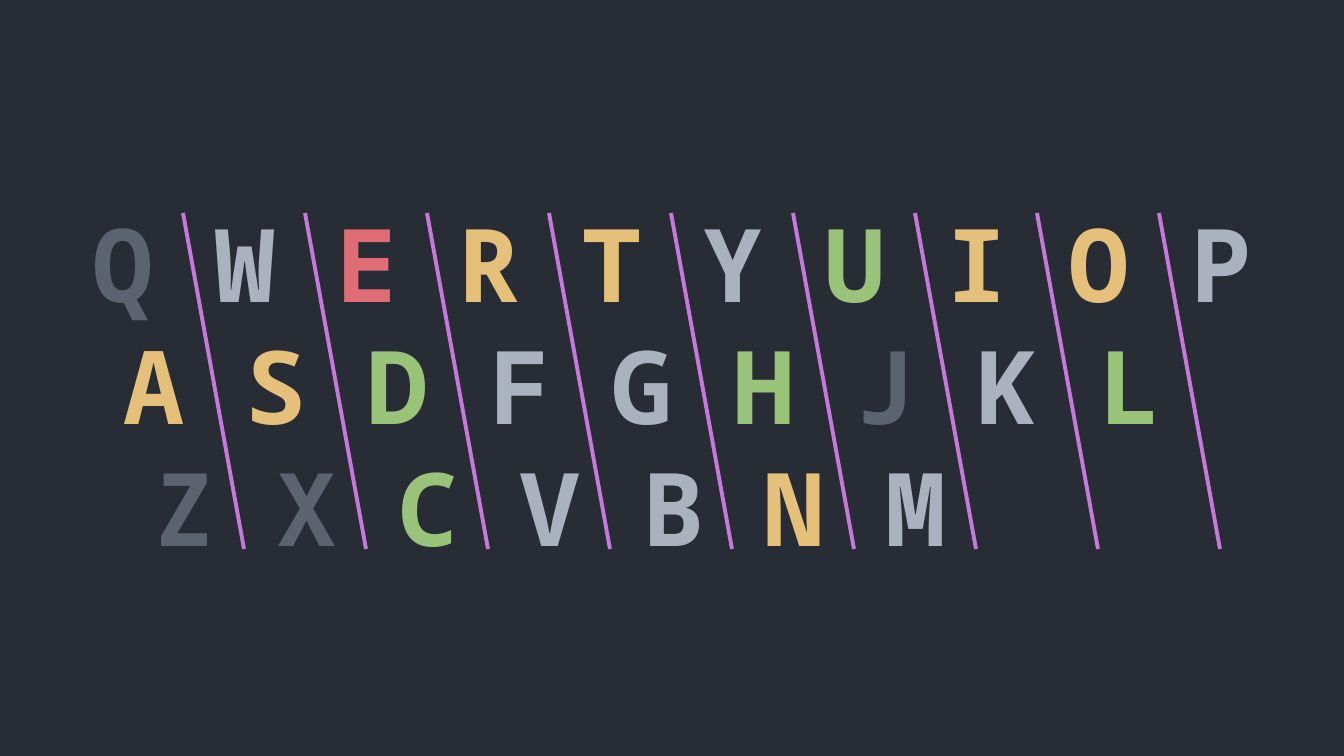
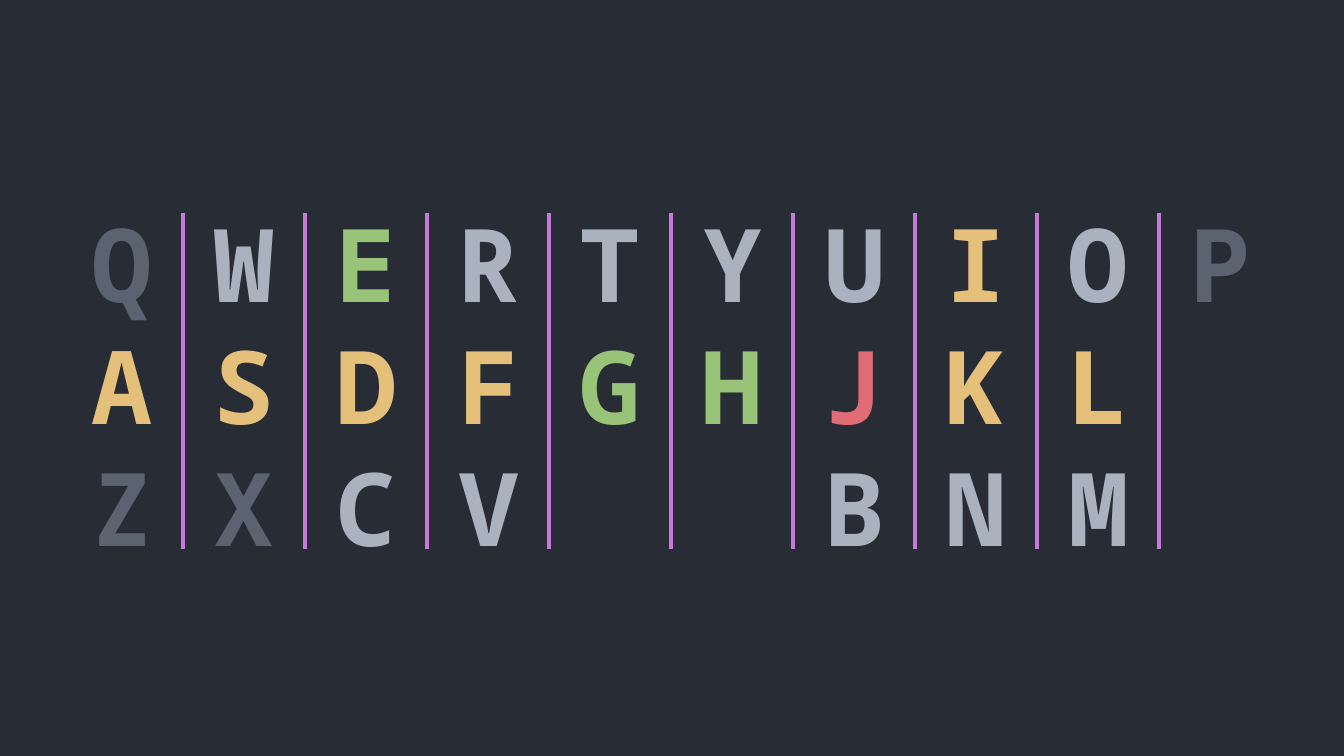
"""Build two keyboard slides whose coloured letters are split into finger columns."""
import pptx
import pptx.dml.color
import pptx.enum.shapes
import pptx.enum.text
import pptx.oxml.ns
import pptx.util
from lxml import etree

KEYBOARDS = [
    {
        "left": 93, "row_shift": 0.25, "lean": 61,
        "groups": [
            (0, 0, [("unused", "Q"), ("plain", " W "), ("worst", "E "), ("fair", "R T"),
                    ("plain", " Y "), ("good", "U "), ("fair", "I O"), ("plain", " P")]),
            (1, 0, [("fair", "A S "), ("good", "D"), ("plain", " F G "), ("good", "H "),
                    ("unused", "J"), ("plain", " K "), ("good", "L")]),
            (2, 0, [("unused", "Z X "), ("good", "C"), ("plain", " V B "), ("fair", "N"),
                    ("plain", " M")]),
        ],
    },
    {
        "left": 92, "row_shift": 0, "lean": 0,
        "groups": [
            (0, 0, [("unused", "Q"), ("plain", " W "), ("good", "E"), ("plain", " R T Y U "),
                    ("fair", "I"), ("plain", " O "), ("unused", "P")]),
            (1, 0, [("fair", "A S D F "), ("good", "G H "), ("worst", "J "), ("fair", "K L")]),
            (2, 0, [("unused", "Z X"), ("plain", " C V")]),
            (2, 6, [("plain", "B N M")]),
        ],
    },
]

THEME = {
    "background": "282C34", "divider": "C678DD", "divider_pt": 2.3,
    "unused": "5C6370", "plain": "ABB2BF", "worst": "E06C75",
    "fair": "E5C07B", "good": "98C379",
    "letter": {"name": "Noto Sans Mono", "size": pptx.util.Pt(60), "bold": True},
}
FRAME = {
    "word_wrap": False, "vertical_anchor": pptx.enum.text.MSO_ANCHOR.MIDDLE,
    "margin_left": 0, "margin_right": 0, "margin_top": 0, "margin_bottom": 0,
}
SLIDE_W, SLIDE_H = 1344, 756
KEY = 122
CHARACTER = KEY // 2
LETTERS_TOP = 201
DIVIDER_TOP, DIVIDER_BOTTOM, DIVIDERS = 213, 549, 9


def px(length):
    return pptx.util.Emu(round(length * pptx.util.Inches(1) / 122))


def rgb(role):
    return pptx.dml.color.RGBColor.from_string(THEME[role])


def apply(target, values):
    for name, value in values.items():
        setattr(target, name, value)


def add_letters(slide, left, top, runs):
    width = CHARACTER * sum(len(letters) for _, letters in runs)
    frame = slide.shapes.add_textbox(px(left), px(top), px(width), px(KEY)).text_frame
    apply(frame, FRAME)
    line = frame.paragraphs[0]
    line.alignment = pptx.enum.text.PP_ALIGN.LEFT
    line.line_spacing = px(KEY)
    for role, letters in runs:
        run = line.add_run()
        run.text = letters
        apply(run.font, THEME["letter"])
        run.font.color.rgb = rgb(role)


def add_dividers(slide, lean):
    for column in range(DIVIDERS):
        x = KEY * 3 // 2 + column * KEY
        divider = slide.shapes.add_connector(
            pptx.enum.shapes.MSO_CONNECTOR.STRAIGHT,
            px(x), px(DIVIDER_TOP), px(x + lean), px(DIVIDER_BOTTOM))
        divider.line.color.rgb = rgb("divider")
        divider.line.width = pptx.util.Pt(THEME["divider_pt"])
        etree.SubElement(divider._element.spPr, pptx.oxml.ns.qn("a:effectLst"))


def main():
    deck = pptx.Presentation()
    deck.slide_width, deck.slide_height = px(SLIDE_W), px(SLIDE_H)
    for keyboard in KEYBOARDS:
        slide = deck.slides.add_slide(deck.slide_layouts[6])
        slide.background.fill.solid()
        slide.background.fill.fore_color.rgb = rgb("background")
        for row, column, runs in keyboard["groups"]:
            left = keyboard["left"] + (column + row * keyboard["row_shift"]) * KEY
            add_letters(slide, left, LETTERS_TOP + row * KEY, runs)
        add_dividers(slide, keyboard["lean"])
    deck.save("out.pptx")


if __name__ == "__main__":
    main()
